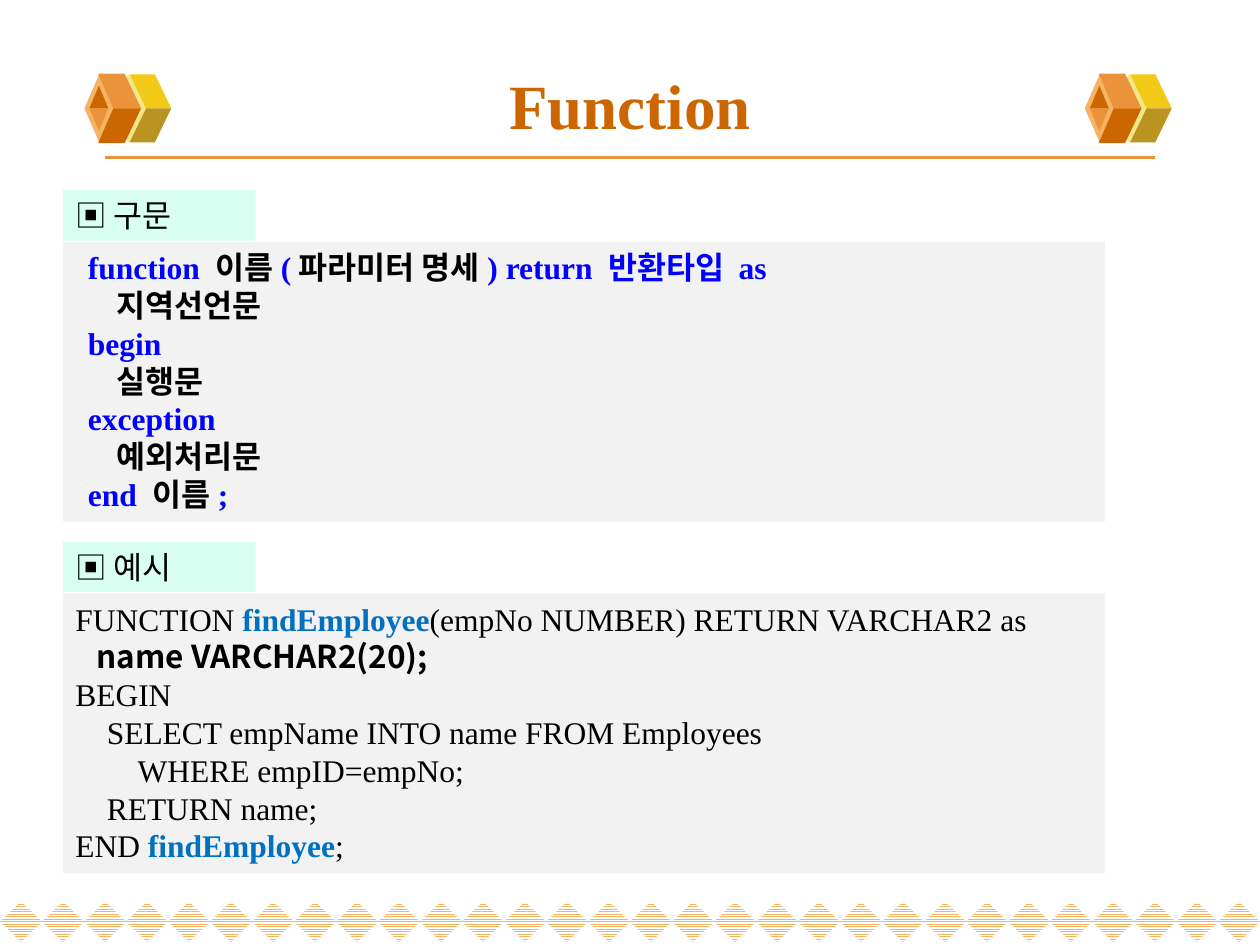
import pptx
import pptx.util
import pptx.dml.color
import pptx.enum.dml
import pptx.enum.shapes
import pptx.enum.text
import pptx.oxml.ns
import lxml.etree

RGBColor = pptx.dml.color.RGBColor
Shapes = pptx.enum.shapes.MSO_SHAPE
Align = pptx.enum.text.PP_ALIGN
Anchor = pptx.enum.text.MSO_ANCHOR
qn = pptx.oxml.ns.qn

BLACK = RGBColor(0x00, 0x00, 0x00)
WHITE = RGBColor(0xFF, 0xFF, 0xFF)
RUST = RGBColor(0xCC, 0x66, 0x00)
ORANGE = RGBColor(0xEB, 0x93, 0x3B)
APRICOT = RGBColor(0xF5, 0xB3, 0x63)
CREAM = RGBColor(0xF1, 0xE7, 0x85)
YELLOW = RGBColor(0xF3, 0xC9, 0x17)
OLIVE = RGBColor(0xBB, 0x93, 0x21)
MINT = RGBColor(0xB3, 0xFF, 0xE6)
GRAY = RGBColor(0xF2, 0xF2, 0xF2)
KEYWORD = RGBColor(0x00, 0x00, 0xFF)
NAME = RGBColor(0x00, 0x70, 0xC0)

SERIF = "Times New Roman"
SANS = "Noto Sans CJK KR"

# Grid of 100 columns by 75 rows
COLUMNS, ROWS = 100, 75
MARGIN = 5
DIAMONDS = 30

# Syntax and example lines as (text, colour, bold, font) spans
SYNTAX = [
    [("function ", KEYWORD), ("이름", BLACK), ("(", KEYWORD),
     ("파라미터 명세", BLACK), (") return 반환타입 as", KEYWORD)],
    [("    지역선언문", BLACK)],
    [("begin", KEYWORD)],
    [("    실행문", BLACK)],
    [("exception", KEYWORD)],
    [("    예외처리문", BLACK)],
    [("end ", KEYWORD), ("이름", BLACK), (";", KEYWORD)],
]
SYNTAX = [[(text, color, True, SERIF) for text, color in line] for line in SYNTAX]


def plain(text):
    return (text, BLACK, False, SERIF)


FUNCTION_NAME = ("findEmployee", NAME, True, SERIF)
EXAMPLE = [
    [plain("FUNCTION "), FUNCTION_NAME, plain("(empNo NUMBER) RETURN VARCHAR2 as")],
    [("   name VARCHAR2(20);", BLACK, True, SANS)],
    [plain("BEGIN")],
    [plain("    SELECT empName INTO name FROM Employees")],
    [plain("        WHERE empID=empNo;")],
    [plain("    RETURN name;")],
    [plain("END "), FUNCTION_NAME, plain(";")],
]


class SlideBuilder:
    """Holds the style and the current slide; lengths are grid units."""

    def __init__(self, deck):
        self.slide = deck.slides.add_slide(deck.slide_layouts[6])
        self.column = deck.slide_width / COLUMNS
        self.row = deck.slide_height / ROWS

    def point(self, x, y):
        return round(x * self.column), round(y * self.row)

    def shape(self, kind, x, y, width, height, color):
        shape = self.slide.shapes.add_shape(
            kind, *self.point(x, y), *self.point(width, height))
        return self.paint(shape, color)

    def paint(self, shape, color):
        shape.shadow.inherit = False
        shape.line.fill.background()
        shape.fill.solid()
        shape.fill.fore_color.rgb = color
        return shape

    def facet(self, points, color):
        corners = [self.point(x, y) for x, y in points]
        builder = self.slide.shapes.build_freeform(*corners[0])
        builder.add_line_segments(corners[1:], close=True)
        self.paint(builder.convert_to_shape(), color)

    def striped_diamond(self, x, y, width, height):
        diamond = self.shape(Shapes.DIAMOND, x, y, width, height, WHITE)
        diamond.fill.patterned()
        diamond.fill.pattern = pptx.enum.dml.MSO_PATTERN.NARROW_HORIZONTAL
        diamond.fill.fore_color.rgb = APRICOT
        diamond.fill.back_color.rgb = WHITE

    def cube(self, x, middle):
        def half(offsets, color):
            self.facet([(x + dx, middle + dy) for dx, dy in offsets], color)

        self.shape(Shapes.DIAMOND, x + 1.9, middle - 2.75, 3.3, 5.5, CREAM)
        for side, color in ((-1, YELLOW), (1, OLIVE)):
            half([(4.9, 0), (6.9, 0), (5.6, 2.7 * side), (3.6, 2.7 * side)], color)
        self.shape(Shapes.DIAMOND, x, middle - 2.75, 2.4, 5.5, APRICOT)
        for side, face, notch in ((-1, ORANGE, RUST), (1, RUST, ORANGE)):
            half([(2.3, 0), (4.5, 0), (3.2, 2.75 * side), (1.1, 2.75 * side)], face)
            half([(1.15, 1.8 * side), (0.4, 0), (1.9, 0)], notch)

    def rule(self, x, y, end_x, color, weight):
        line = self.slide.shapes.add_connector(
            pptx.enum.shapes.MSO_CONNECTOR.STRAIGHT,
            *self.point(x, y), *self.point(end_x, y))
        line.line.color.rgb = color
        line.line.width = pptx.util.Pt(weight)
        lxml.etree.SubElement(line._element.spPr, qn("a:effectLst"))

    def style(self, span, size, color, bold, font):
        span.font.size = pptx.util.Pt(size)
        span.font.name = font
        span.font.bold = bold
        span.font.color.rgb = color
        east_asian = lxml.etree.SubElement(span._r.get_or_add_rPr(), qn("a:ea"))
        east_asian.set("typeface", SANS)

    def title(self, text, x, y, width, height):
        box = self.slide.shapes.add_textbox(
            *self.point(x, y), *self.point(width, height))
        frame = box.text_frame
        frame.word_wrap = True
        frame.vertical_anchor = Anchor.MIDDLE
        frame.text = text
        para = frame.paragraphs[0]
        para.alignment = Align.CENTER
        self.style(para.runs[0], 36, RUST, True, SERIF)

    def panel(self, x, y, width, height, color, lines,
              alignment=Align.LEFT, indent=0):
        box = self.shape(Shapes.RECTANGLE, x, y, width, height, color)
        frame = box.text_frame
        frame.word_wrap = True
        frame.auto_size = pptx.enum.text.MSO_AUTO_SIZE.SHAPE_TO_FIT_TEXT
        frame.vertical_anchor = Anchor.TOP
        for number, line in enumerate(lines):
            para = frame.add_paragraph() if number else frame.paragraphs[0]
            para.alignment = alignment
            if indent:
                para._p.get_or_add_pPr().set("indent", str(round(indent * self.column)))
            for text, *look in line:
                span = para.add_run()
                span.text = text
                self.style(span, 18, *look)
        return box

    def label(self, text, x, y):
        box = self.panel(x, y, 15.3, 4, MINT, [[(text, BLACK, False, SANS)]])
        color = box._element.spPr.find(qn("a:solidFill")).find(qn("a:srgbClr"))
        lxml.etree.SubElement(color, qn("a:alpha")).set("val", "50000")


def main():
    deck = pptx.Presentation()
    deck.slide_width = pptx.util.Inches(10)
    deck.slide_height = pptx.util.Inches(7.5)
    page = SlideBuilder(deck)

    # Diamond border along the bottom
    step = COLUMNS / DIAMONDS
    for number in range(DIAMONDS):
        page.striped_diamond(number * step, 71.55, step, 3.2)

    # Header: rule, cubes and title
    page.rule(8.3, 12.5, 91.7, ORANGE, 2.25)
    for x in (6.7, 86.1):
        page.cube(x, 8.6)
    page.title("Function", MARGIN, 4.5, 90, 7.6)

    # Syntax and example sections
    sections = (("▣ 구문", 15.1, SYNTAX, Align.JUSTIFY, 1),
                ("▣ 예시", 43, EXAMPLE, Align.LEFT, 0))
    for heading, top, lines, alignment, indent in sections:
        page.label(heading, MARGIN, top)
        page.panel(MARGIN, top + 4.1, 82.7, 22.2, GRAY, lines, alignment, indent)

    deck.save("out.pptx")


if __name__ == "__main__":
    main()
